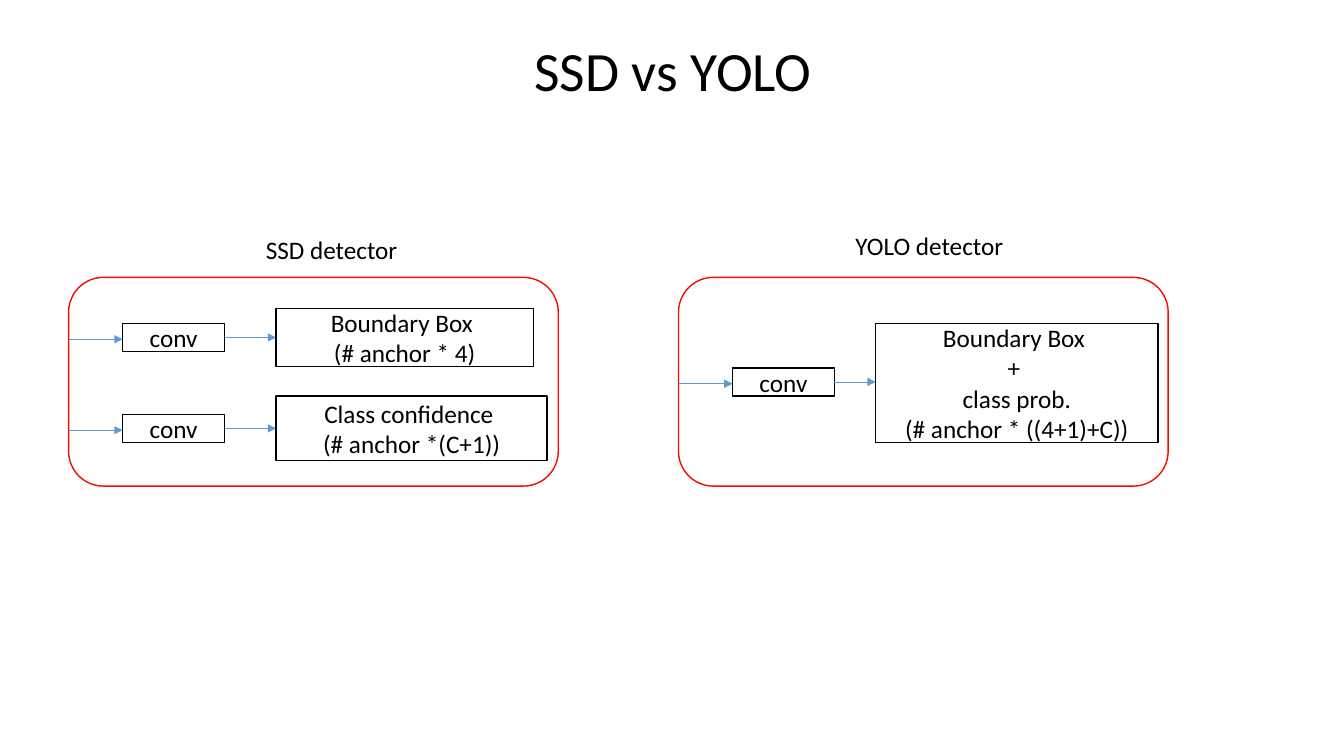
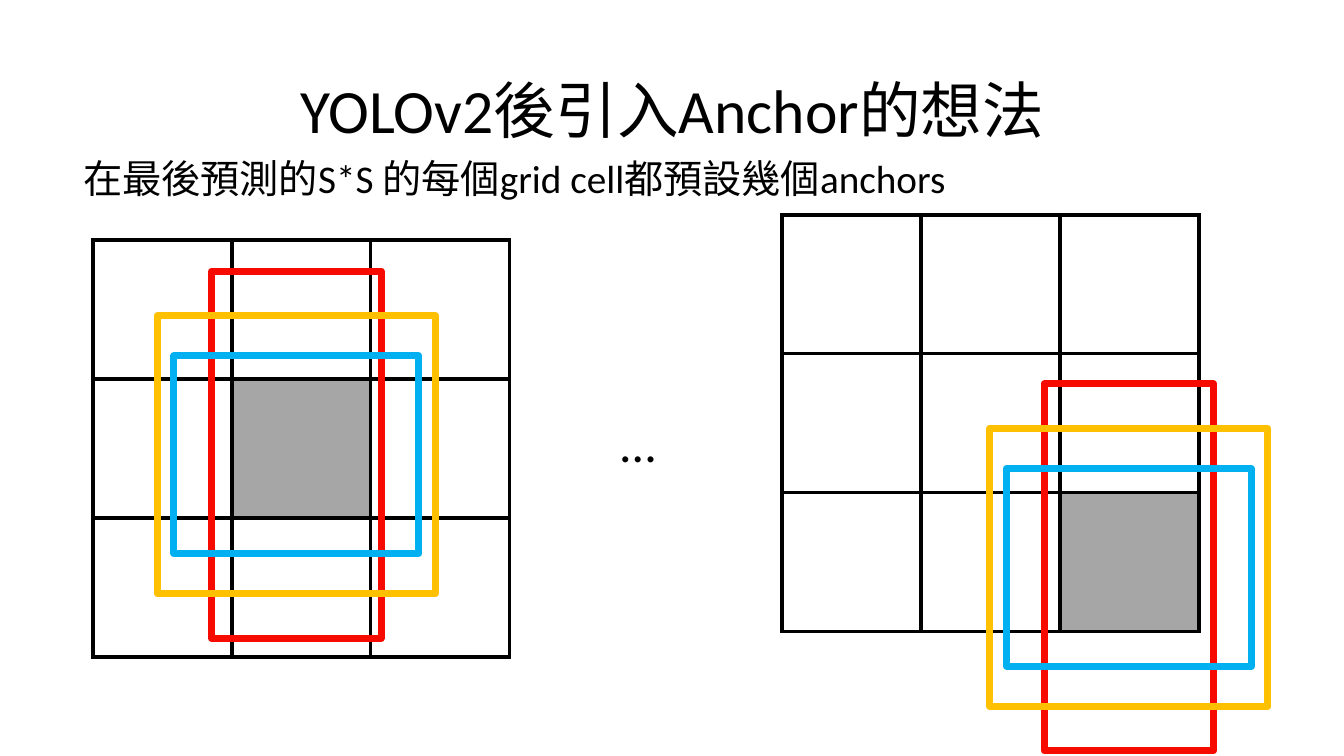
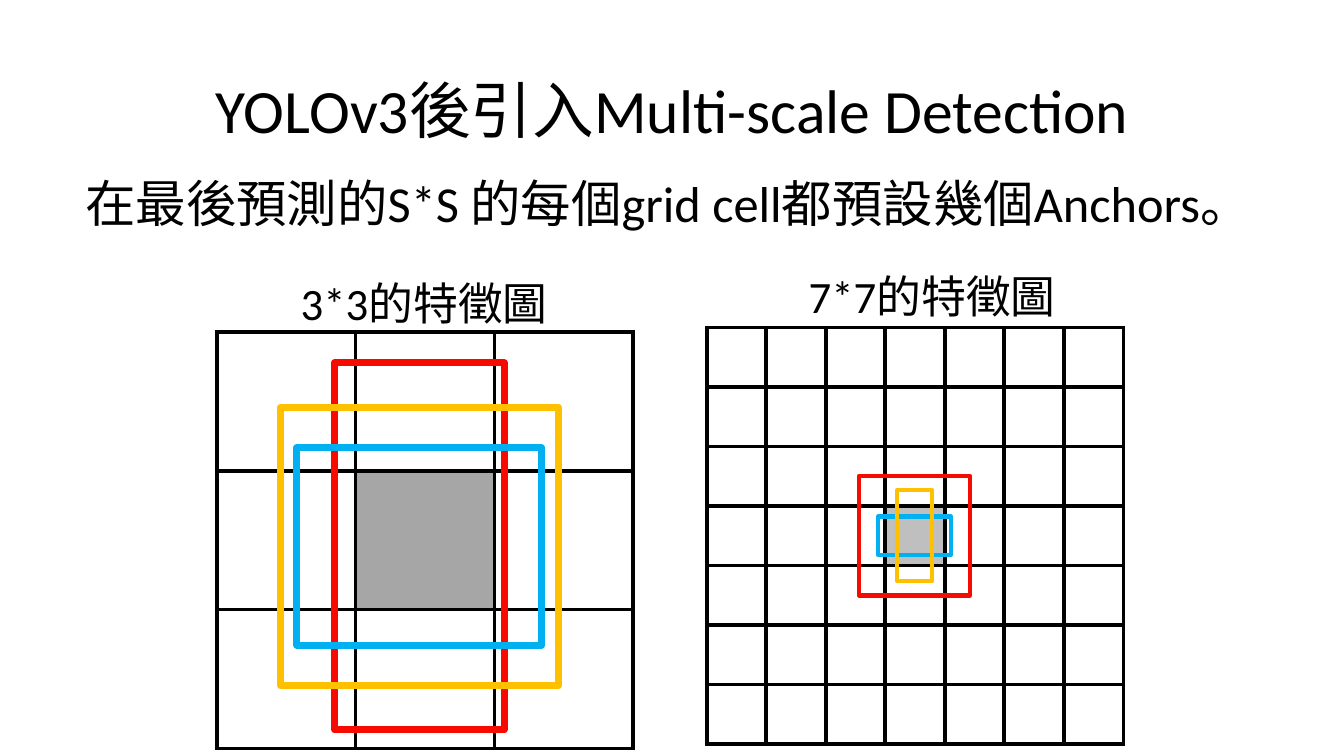
from lxml import etree
from pptx import Presentation
from pptx.dml.color import RGBColor
from pptx.enum.shapes import MSO_CONNECTOR, MSO_SHAPE
from pptx.enum.text import MSO_ANCHOR, MSO_AUTO_SIZE, PP_ALIGN
from pptx.oxml.ns import qn
from pptx.util import Cm, Pt

RECTANGLE = MSO_SHAPE.RECTANGLE
ROUNDED = MSO_SHAPE.ROUNDED_RECTANGLE
STRAIGHT = MSO_CONNECTOR.STRAIGHT
MIDDLE = MSO_ANCHOR.MIDDLE
NO_AUTOFIT = MSO_AUTO_SIZE.NONE
LEFT, CENTER = PP_ALIGN.LEFT, PP_ALIGN.CENTER

FONT = "Calibri"
BLACK, RED, BLUE, ORANGE = "000000", "F70A00", "00B0F0", "FFC000"
ARROW_BLUE, DARK_GRAY, LIGHT_GRAY = "5B9BD5", "A6A6A6", "BFBFBF"
TITLE_AREA = (2.34, 1.02, 29.21, 3.68)
GRID_SIZE = 10.5
LARGE_ANCHORS = [(4.27, 9.25, RED), (6.17, 4.98, BLUE), (7.01, 7.01, ORANGE)]
SMALL_ANCHORS = [(2.79, 3.02, RED), (1.83, 0.97, BLUE), (0.89, 2.29, ORANGE)]
CONV_WIDTH, CONV_HEIGHT = 2.57, 0.71


def color(value):
    return RGBColor.from_string(value)


def lengths(values):
    return [Cm(value) for value in values]


def write(text_frame, paragraphs, size, alignment):
    for index, text in enumerate(paragraphs):
        paragraph = text_frame.add_paragraph() if index else text_frame.paragraphs[0]
        paragraph.text = text
        paragraph.alignment = alignment
        paragraph.font.name = FONT
        paragraph.font.size = Pt(size)
        paragraph.font.color.rgb = color(BLACK)


def add_titled_slide(presentation, text, area=TITLE_AREA, size=44):
    slide = presentation.slides.add_slide(presentation.slide_layouts[5])
    title = slide.shapes.title
    title.left, title.top, title.width, title.height = lengths(area)
    text_frame = title.text_frame
    text_frame.auto_size = NO_AUTOFIT
    text_frame.vertical_anchor = MIDDLE
    write(text_frame, [text], size, CENTER)
    text_frame.paragraphs[0].line_spacing = 0.9
    return slide


def add_label(slide, area, text, size, alignment=LEFT):
    label = slide.shapes.add_textbox(*lengths(area))
    label.text_frame.word_wrap = True
    write(label.text_frame, [text], size, alignment)


def add_outline(slide, area, line_color, line_width, kind=RECTANGLE):
    shape = slide.shapes.add_shape(kind, *lengths(area))
    shape.shadow.inherit = False
    shape.fill.background()
    shape.line.color.rgb = color(line_color)
    shape.line.width = Pt(line_width)
    return shape


def add_block(slide, area, paragraphs):
    block = add_outline(slide, area, BLACK, 1)
    block.text_frame.vertical_anchor = MIDDLE
    write(block.text_frame, paragraphs, 18, CENTER)


def add_arrow(slide, start, end, y):
    arrow = slide.shapes.add_connector(STRAIGHT, *lengths((start, y, end, y)))
    arrow.line.color.rgb = color(ARROW_BLUE)
    arrow.line.width = Pt(0.5)
    properties = arrow._element.spPr
    etree.SubElement(properties.find(qn("a:ln")), qn("a:tailEnd"), type="triangle")
    etree.SubElement(properties, qn("a:effectLst"))


def add_panel(slide, left):
    add_outline(slide, (left, 6.99, 12.34, 5.26), RED, 1, ROUNDED)


def add_branch(slide, panel_left, conv_top, output_area, output_text):
    conv_left = panel_left + 1.36
    add_arrow(slide, panel_left, conv_left, conv_top + 0.4)
    add_block(slide, (conv_left, conv_top, CONV_WIDTH, CONV_HEIGHT), ["conv"])
    add_arrow(slide, conv_left + CONV_WIDTH, output_area[0], conv_top + CONV_HEIGHT / 2)
    add_block(slide, output_area, output_text)


def add_border(cell):
    properties = cell._tc.get_or_add_tcPr()
    for side in ("a:lnL", "a:lnR", "a:lnT", "a:lnB"):
        line = etree.SubElement(properties, qn(side), w=str(Pt(3)))
        fill = etree.SubElement(line, qn("a:solidFill"))
        etree.SubElement(fill, qn("a:srgbClr"), val=BLACK)


def add_grid(slide, left, top, count, marked, marked_color=DARK_GRAY):
    area = lengths((left, top, GRID_SIZE, GRID_SIZE))
    table = slide.shapes.add_table(count, count, *area).table
    table.first_row = False
    table.horz_banding = False
    for cell in table.iter_cells():
        add_border(cell)
        cell.fill.background()
    fill = table.cell(*marked).fill
    fill.solid()
    fill.fore_color.rgb = color(marked_color)


def add_anchors(slide, center_x, center_y, anchors, line_width):
    for width, height, line_color in anchors:
        area = (center_x - width / 2, center_y - height / 2, width, height)
        add_outline(slide, area, line_color, line_width)


def build_comparison(presentation):
    slide = add_titled_slide(presentation, "SSD vs YOLO", (3.5, 1.02, 26.92, 1.65), 39.6)
    ssd_left, yolo_left = 1.73, 17.1
    add_panel(slide, ssd_left)
    add_label(slide, (6.45, 5.79, 4.4, 1.02), "SSD detector", 18)
    add_branch(slide, ssd_left, 8.15, (6.96, 7.77, 6.48, 1.47),
               ["Boundary Box \n(# anchor * 4)"])
    add_branch(slide, ssd_left, 10.44, (6.96, 9.98, 6.83, 1.63),
               ["Class confidence \n(# anchor *(C+1))"])
    add_panel(slide, yolo_left)
    add_label(slide, (21.31, 5.69, 4.98, 1.02), "YOLO detector", 18)
    add_branch(slide, yolo_left, 9.27, (22.07, 8.15, 7.11, 3),
               ["Boundary Box ", "+ ", "class prob.\n(# anchor * ((4+1)+C))"])


def build_anchor_idea(presentation):
    slide = add_titled_slide(presentation, "YOLOv2後引入Anchor的想法")
    add_grid(slide, 2.34, 6.05, 3, (1, 1))
    add_anchors(slide, 7.47, 11.46, LARGE_ANCHORS, 5)
    add_grid(slide, 19.71, 5.41, 3, (2, 2))
    add_anchors(slide, 28.45, 14.3, LARGE_ANCHORS, 5)
    add_label(slide, (15.39, 10.26, 1.93, 1.8), "…", 36)
    add_label(slide, (1.85, 3.76, 29.97, 1.45),
              "在最後預測的S*S 的每個grid cell都預設幾個anchors", 28)


def build_multi_scale(presentation):
    slide = add_titled_slide(presentation, "YOLOv3後引入Multi-scale Detection")
    add_label(slide, (1.9, 4.22, 29.87, 1.8),
              "在最後預測的S*S 的每個grid cell都預設幾個Anchors。", 36)
    add_grid(slide, 17.81, 8.25, 7, (3, 3), LIGHT_GRAY)
    add_anchors(slide, 23.05, 13.5, SMALL_ANCHORS, 3)
    add_label(slide, (16.84, 6.65, 13.31, 1.63), "7*7的特徵圖", 32, CENTER)
    add_grid(slide, 5.46, 8.36, 3, (1, 1))
    add_anchors(slide, 10.57, 13.77, LARGE_ANCHORS, 5)
    add_label(slide, (4.04, 6.83, 13.31, 1.63), "3*3的特徵圖", 32, CENTER)


def main():
    presentation = Presentation()
    presentation.slide_width = Cm(33.87)
    presentation.slide_height = Cm(19.05)
    build_comparison(presentation)
    build_anchor_idea(presentation)
    build_multi_scale(presentation)
    presentation.save("out.pptx")


if __name__ == "__main__":
    main()
